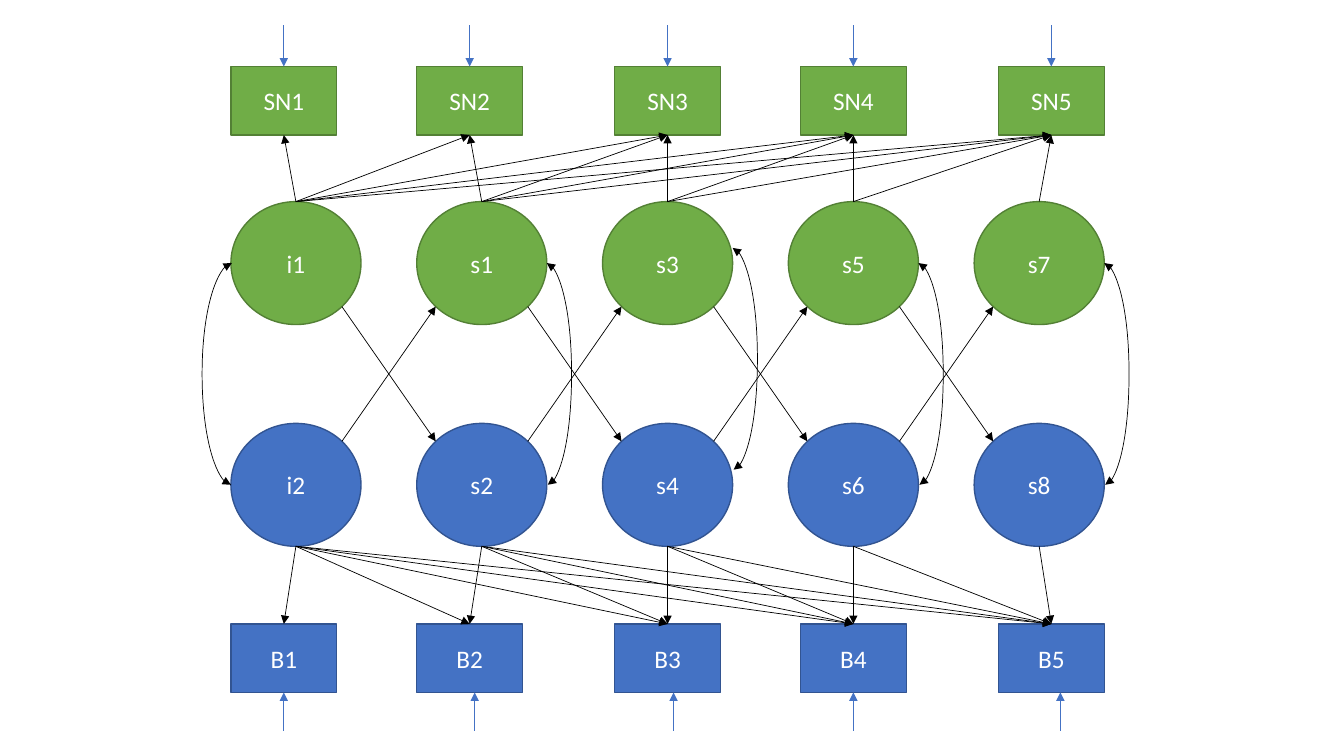
from pptx import Presentation
from pptx.util import Inches, Pt
from pptx.dml.color import RGBColor
from pptx.enum.shapes import MSO_SHAPE as Shape, MSO_CONNECTOR as Link
from pptx.enum.text import PP_ALIGN as Align, MSO_ANCHOR as Anchor
from pptx.oxml.ns import qn
from lxml.etree import SubElement

theme = {
    "green": ("70AD47", "538035"),
    "blue": ("4472C4", "325491"),
    "text": "FFFFFF",
    "path": "000000",
    "error": "4472C4",
    "font": "Calibri",
    "size": 18,
    "edge": 1,
    "thin": 0.5,
}

# Grid in inches: five columns, four rows
LEFT, STEP, COLS = 2.29, 1.843, 5
OVAL_W, OVAL_H = 1.29, 1.22
BOX_W, BOX_H = 1.05, 0.68
STEM = 0.41
# Share of the spare column width to the left of each box
SHIFT = (0, 0, 0.5, 0.5, 1)
# Share of the oval's size where its diagonal corner points lie
NEAR, FAR = 0.146, 0.854

prs = Presentation()
prs.slide_width, prs.slide_height = Inches(13.33), Inches(7.5)
slide = prs.slides.add_slide(prs.slide_layouts[6])


def node(kind, label, x, y, w, h, tone):
    item = slide.shapes.add_shape(kind, Inches(x), Inches(y), Inches(w), Inches(h))
    item.shadow.inherit = False
    fill, edge = theme[tone]
    item.fill.solid()
    item.fill.fore_color.rgb = RGBColor.from_string(fill)
    item.line.color.rgb = RGBColor.from_string(edge)
    item.line.width = Pt(theme["edge"])
    frame = item.text_frame
    frame.text = label
    frame.vertical_anchor = Anchor.MIDDLE
    para = frame.paragraphs[0]
    para.alignment = Align.CENTER
    font = para.runs[0].font
    font.name, font.size = theme["font"], Pt(theme["size"])
    font.color.rgb = RGBColor.from_string(theme["text"])
    return item


def arrow(start, end, tone="path", bulge=None):
    """Draw a straight arrow, or a two-headed curve that swings out by bulge."""
    kind = Link.CURVE if bulge else Link.STRAIGHT
    line = slide.shapes.add_connector(kind, *map(Inches, start + end))
    line.line.color.rgb = RGBColor.from_string(theme[tone])
    line.line.width = Pt(theme["thin"])
    props = line.element.spPr
    stroke = props.find(qn("a:ln"))
    for tip in ("a:headEnd", "a:tailEnd") if bulge else ("a:tailEnd",):
        SubElement(stroke, qn(tip), type="triangle")
    SubElement(props, qn("a:effectLst"))
    if bulge:
        guides = props.find(qn("a:prstGeom")).find(qn("a:avLst"))
        ratio = round(bulge / abs(end[0] - start[0]) * 100000)
        SubElement(guides, qn("a:gd"), name="adj1", fmla=f"val {ratio}")
    return line


cols = [LEFT + STEP * c for c in range(COLS)]
mids = [x + OVAL_W / 2 for x in cols]
spots = [x + s * (OVAL_W - BOX_W) for x, s in zip(cols, SHIFT)]

# Each half: tone, box prefix, box top, oval top, oval labels, side facing ovals
halves = (
    ("green", "SN", 0.66, 2.0, ("i1", "s1", "s3", "s5", "s7"), 2),
    ("blue", "B", 6.19, 4.2, ("i2", "s2", "s4", "s6", "s8"), 0),
)
upper, lower = (half[3] for half in halves)

for tone, prefix, top, row, names, side in halves:
    for x, name in zip(cols, names):
        node(Shape.OVAL, name, x, row, OVAL_W, OVAL_H, tone)
    boxes = [
        node(Shape.RECTANGLE, f"{prefix}{c + 1}", x, top, BOX_W, BOX_H, tone)
        for c, x in enumerate(spots)
    ]

    # Each oval loads on the box of its own column and all later ones
    rim = row if side == 2 else row + OVAL_H
    face = top + BOX_H if side == 2 else top
    for c, mid in enumerate(mids):
        for x, box in list(zip(spots, boxes))[c:]:
            load = arrow((mid, rim), (x + BOX_W / 2, face))
            load.end_connect(box, side)

    # Error arrows come in from the slide's edge
    drift = (0,) * COLS if side == 2 else (0, 0.05, 0.06, 0, 0.09)
    back = top if side == 2 else top + BOX_H
    reach = -STEM if side == 2 else STEM - 0.03
    for x, box, off in zip(spots, boxes, drift):
        x += BOX_W / 2 + off
        stem = arrow((x, back + reach), (x, back), "error")
        if not off:
            stem.end_connect(box, 2 - side)

# Crossed paths from each column to the next
for x, after in zip(cols, cols[1:]):
    for row, other, out, into in ((upper, lower, FAR, NEAR), (lower, upper, NEAR, FAR)):
        arrow(
            (x + OVAL_W * FAR, row + OVAL_H * out),
            (after + OVAL_W * NEAR, other + OVAL_H * into),
        )

# Two-headed curves between the ovals of one column
for c, x in enumerate(cols):
    lift = 0.15 if c == 2 else 0
    high, low = (row + OVAL_H / 2 - lift for row in (upper, lower))
    if c == 0:
        arrow((x + 0.01, high), (x, low), bulge=0.3)
    else:
        arrow((x + OVAL_W, high), (x + OVAL_W + 0.01, low), bulge=0.25)

prs.save("out.pptx")
